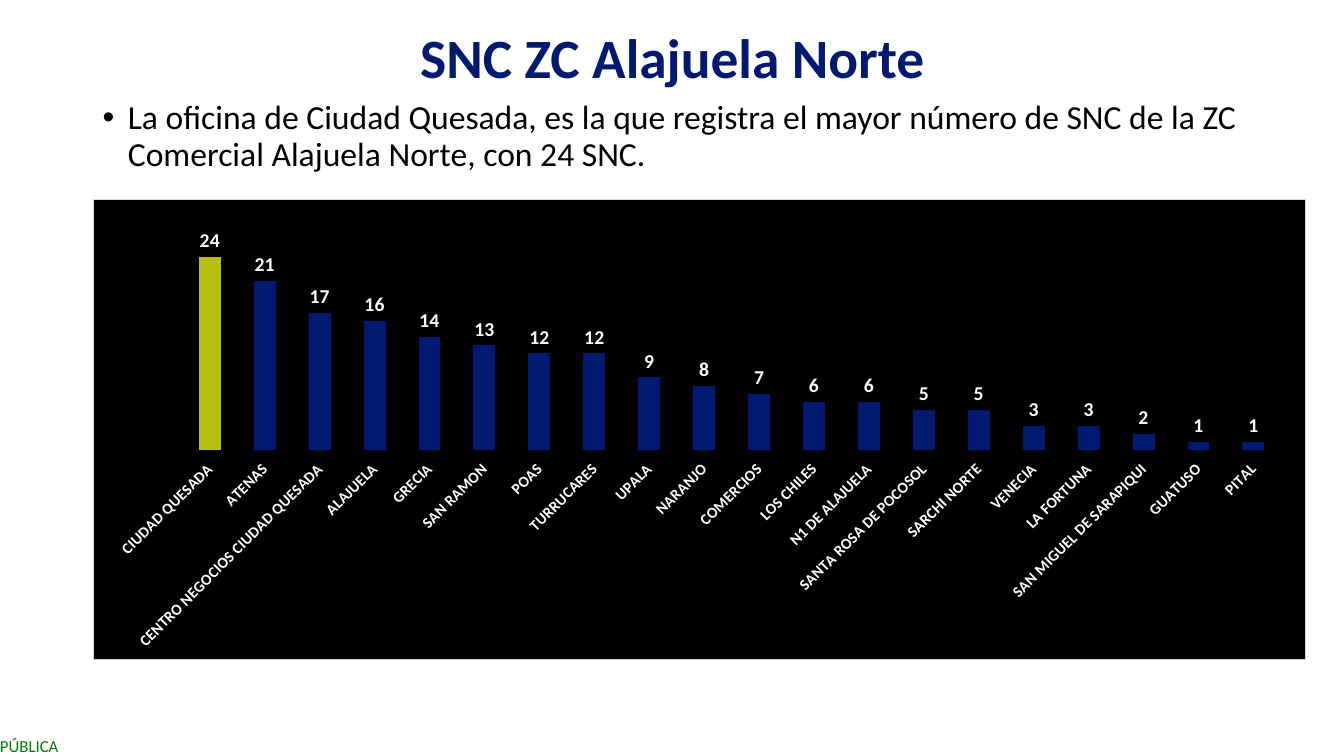
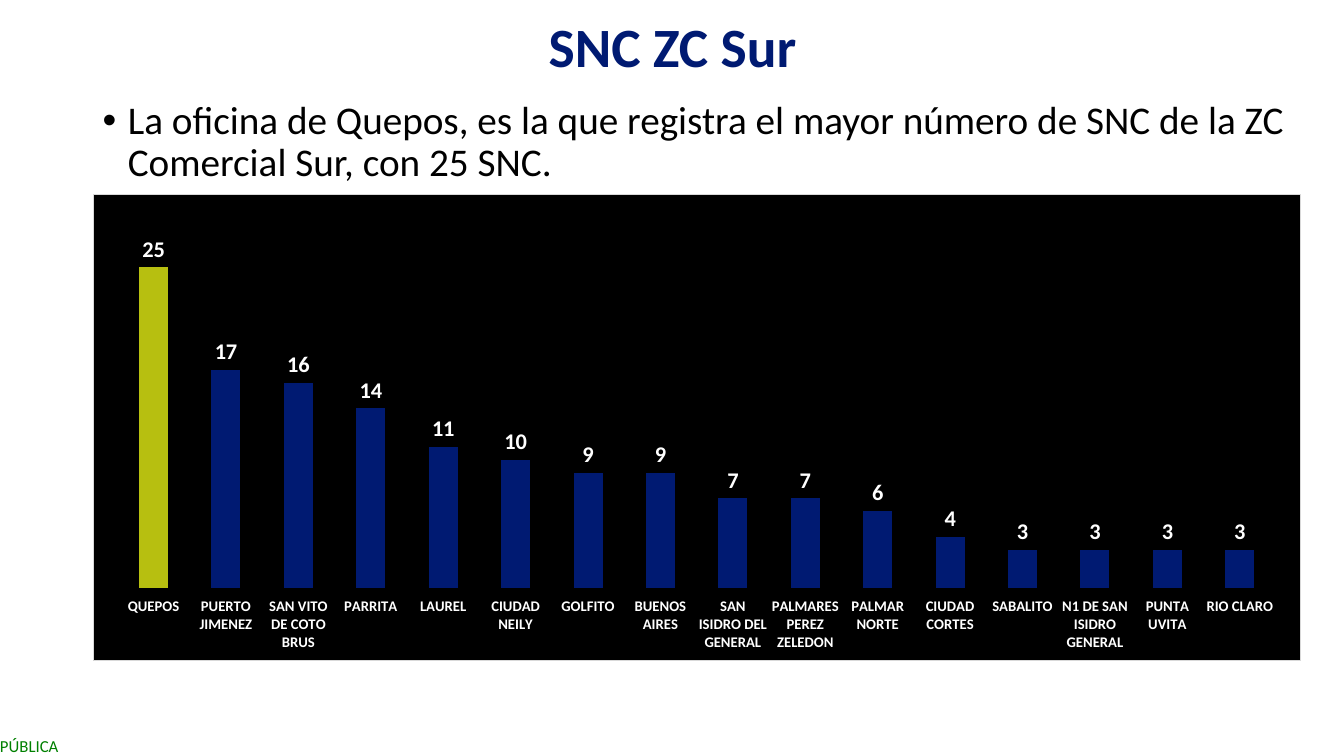
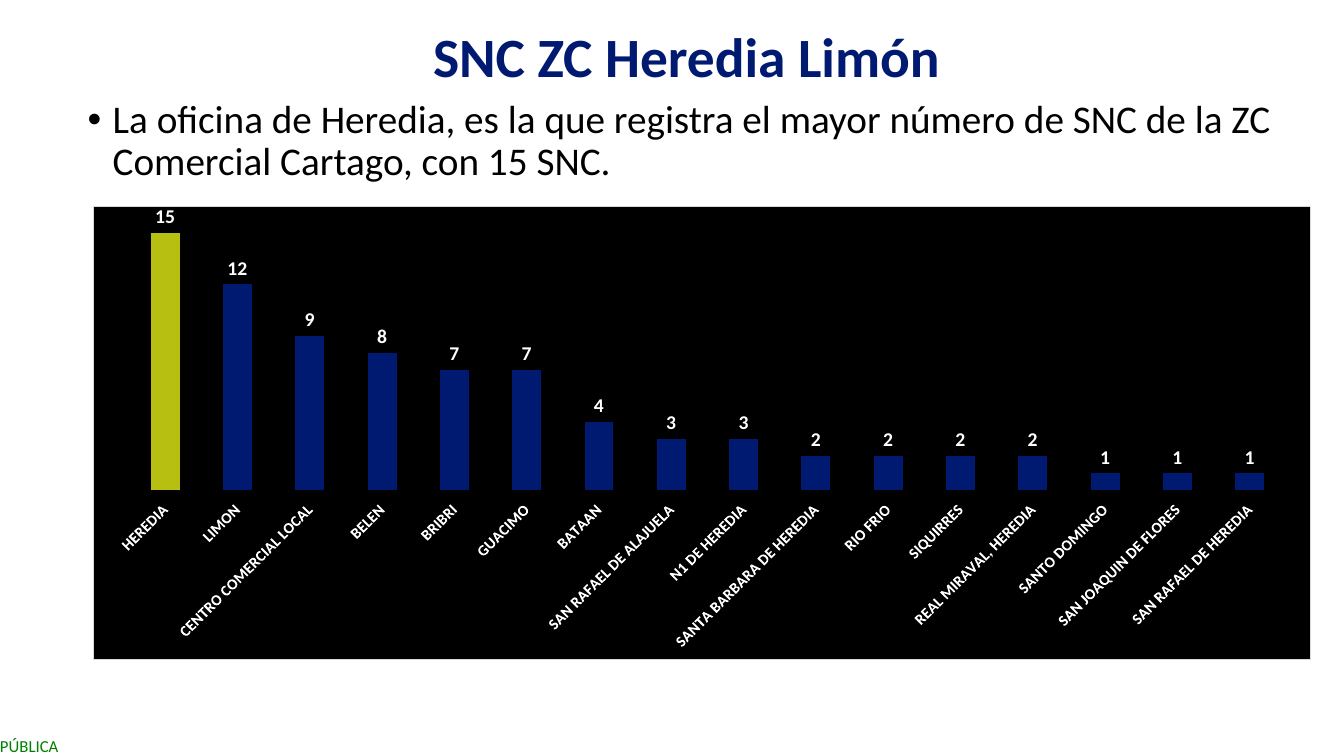
from lxml import etree
from pptx import Presentation
from pptx.chart.data import CategoryChartData
from pptx.dml.color import RGBColor
from pptx.enum.chart import XL_CHART_TYPE, XL_LABEL_POSITION, XL_TICK_LABEL_POSITION, XL_TICK_MARK
from pptx.enum.text import MSO_ANCHOR, PP_ALIGN
from pptx.oxml import parse_xml
from pptx.oxml.ns import nsdecls, qn
from pptx.util import Inches, Pt

COLUMN = XL_CHART_TYPE.COLUMN_CLUSTERED
OUTSIDE = XL_LABEL_POSITION.OUTSIDE_END
LOW = XL_TICK_LABEL_POSITION.LOW
NO_TICK = XL_TICK_MARK.NONE
MIDDLE = MSO_ANCHOR.MIDDLE
CENTER = PP_ALIGN.CENTER

NAVY = RGBColor(0x00, 0x1A, 0x72)
LIME = RGBColor(0xB7, 0xBF, 0x10)
GREEN = RGBColor(0x00, 0x80, 0x00)
BLACK = RGBColor(0x00, 0x00, 0x00)
WHITE = RGBColor(0xFF, 0xFF, 0xFF)
GREY = RGBColor(0xD9, 0xD9, 0xD9)
FACE = "Calibri"

SLIDES = [
    {
        "title": ("SNC ZC Alajuela Norte", (0.92, 0.25, 11.5, 0.7)),
        "point": ("La oficina de Ciudad Quesada, es la que registra el mayor número de SNC "
                  "de la ZC Comercial Alajuela Norte, con 24 SNC.",
                  (0.92, 0.95, 12.03, 1.02), 24),
        "chart": {
            "box": (0.92, 1.97, 12.03, 4.58), "top": 30, "turn": -45, "size": 11, "label": 14,
            "data": [
                ("CIUDAD QUESADA", 24), ("ATENAS", 21), ("CENTRO NEGOCIOS CIUDAD QUESADA", 17),
                ("ALAJUELA", 16), ("GRECIA", 14), ("SAN RAMON", 13), ("POAS", 12),
                ("TURRUCARES", 12), ("UPALA", 9), ("NARANJO", 8), ("COMERCIOS", 7),
                ("LOS CHILES", 6), ("N1 DE ALAJUELA", 6), ("SANTA ROSA DE POCOSOL", 5),
                ("SARCHI NORTE", 5), ("VENECIA", 3), ("LA FORTUNA", 3),
                ("SAN MIGUEL DE SARAPIQUI", 2), ("GUATUSO", 1), ("PITAL", 1),
            ],
        },
    },
    {
        "title": ("SNC ZC Sur", (0.92, 0.22, 11.5, 0.55)),
        "point": ("La oficina de Quepos, es la que registra el mayor número de SNC "
                  "de la ZC Comercial Sur, con 25 SNC.",
                  (0.92, 0.95, 12.17, 0.97), 28),
        "chart": {
            "box": (0.92, 1.92, 11.98, 4.64), "top": 30, "turn": 0, "size": 10.5, "label": 16,
            "data": [
                ("QUEPOS", 25), ("PUERTO JIMENEZ", 17), ("SAN VITO DE COTO BRUS", 16),
                ("PARRITA", 14), ("LAUREL", 11), ("CIUDAD NEILY", 10), ("GOLFITO", 9),
                ("BUENOS AIRES", 9), ("SAN ISIDRO DEL GENERAL", 7),
                ("PALMARES PEREZ ZELEDON", 7), ("PALMAR NORTE", 6), ("CIUDAD CORTES", 4),
                ("SABALITO", 3), ("N1 DE SAN ISIDRO GENERAL", 3), ("PUNTA UVITA", 3),
                ("RIO CLARO", 3),
            ],
        },
    },
    {
        "title": ("SNC ZC Heredia Limón", (1.06, 0.23, 11.5, 0.72)),
        "point": ("La oficina de Heredia, es la que registra el mayor número de SNC "
                  "de la ZC Comercial Cartago, con 15 SNC.",
                  (0.77, 0.94, 12.23, 1.09), 28),
        "chart": {
            "box": (0.92, 2.03, 12.08, 4.52), "top": 16, "turn": -45, "size": 11, "label": 14,
            "data": [
                ("HEREDIA", 15), ("LIMON", 12), ("CENTRO COMERCIAL LOCAL", 9), ("BELEN", 8),
                ("BRIBRI", 7), ("GUACIMO", 7), ("BATAAN", 4), ("SAN RAFAEL DE ALAJUELA", 3),
                ("N1 DE HEREDIA", 3), ("SANTA BARBARA DE HEREDIA", 2), ("RIO FRIO", 2),
                ("SIQUIRRES", 2), ("REAL MIRAVAL, HEREDIA", 2), ("SANTO DOMINGO", 1),
                ("SAN JOAQUIN DE FLORES", 1), ("SAN RAFAEL DE HEREDIA", 1),
            ],
        },
    },
]


class Deck:
    """Holds the shared style and the current slide."""

    def __init__(self):
        self.file = Presentation()
        self.file.slide_width = Inches(13.33)
        self.file.slide_height = Inches(7.5)

    def start(self):
        self.slide = self.file.slides.add_slide(self.file.slide_layouts[5])
        self.mark()

    def style(self, font, size, color, bold=False):
        font.name, font.size, font.bold = FACE, Pt(size), bold
        font.color.rgb = color

    def text(self, words, box):
        shape = self.slide.shapes.add_textbox(*map(Inches, box))
        shape.text_frame.word_wrap = True
        para = shape.text_frame.paragraphs[0]
        para.text = words
        return shape.text_frame, para

    def mark(self):
        frame, para = self.text("PÚBLICA", (0, 7.3, 0.83, 0.2))
        frame.margin_left = frame.margin_right = frame.margin_top = frame.margin_bottom = 0
        self.style(para.font, 12, GREEN)

    def title(self, words, box):
        shape = self.slide.shapes.title
        shape.left, shape.top, shape.width, shape.height = map(Inches, box)
        frame = shape.text_frame
        frame.text = words
        frame.vertical_anchor = MIDDLE
        para = frame.paragraphs[0]
        para.alignment, para.line_spacing = CENTER, 0.9
        self.style(para.font, 39.6, NAVY, True)

    def point(self, words, box, size):
        para = self.text(words, box)[1]
        para.line_spacing = 0.9
        props = para._p.get_or_add_pPr()
        props.set("marL", str(Inches(0.25)))
        props.set("indent", str(Inches(-0.25)))
        etree.SubElement(props, qn("a:buFont")).set("typeface", "Arial")
        etree.SubElement(props, qn("a:buChar")).set("char", "•")
        self.style(para.font, size, BLACK)

    def chart(self, box, top, turn, size, label, data):
        names, counts = zip(*data)
        table = CategoryChartData()
        table.categories = names
        table.add_series("Series 1", counts)
        chart = self.slide.shapes.add_chart(COLUMN, *map(Inches, box), table).chart
        chart.has_legend = chart.has_title = False
        self.style(chart.font, 10, BLACK)
        self.back(chart)
        self.axes(chart, top, turn, size)
        self.bars(chart.plots[0], label)

    def back(self, chart):
        chart._chartSpace.find(qn("c:txPr")).addprevious(parse_xml(
            f'<c:spPr {nsdecls("c", "a")}>'
            f'<a:solidFill><a:srgbClr val="{BLACK}"/></a:solidFill>'
            f'<a:ln w="{Pt(0.75)}"><a:solidFill><a:srgbClr val="{GREY}"/></a:solidFill></a:ln>'
            '</c:spPr>'))

    def axes(self, chart, top, turn, size):
        scale = chart.value_axis
        scale.minimum_scale, scale.maximum_scale = 0, top
        scale.has_major_gridlines = scale.visible = False
        axis = chart.category_axis
        axis.major_tick_mark = axis.minor_tick_mark = NO_TICK
        axis.tick_label_position = LOW
        axis.format.line.fill.background()
        self.style(axis.tick_labels.font, size, WHITE, True)
        frame = axis._element.find(qn("c:txPr")).find(qn("a:bodyPr"))
        frame.set("rot", str(turn * 60000))
        frame.set("vert", "horz")

    def bars(self, plot, size):
        plot.gap_width, plot.vary_by_categories = 150, False
        series = plot.series[0]
        for part, color in ((series, NAVY), (series.points[0], LIME)):
            part.format.fill.solid()
            part.format.fill.fore_color.rgb = color
        labels = series.data_labels
        labels.show_value, labels.position = True, OUTSIDE
        self.style(labels.font, size, WHITE, True)


def main():
    deck = Deck()
    for page in SLIDES:
        deck.start()
        deck.title(*page["title"])
        deck.point(*page["point"])
        deck.chart(**page["chart"])
    deck.file.save("out.pptx")


if __name__ == "__main__":
    main()
